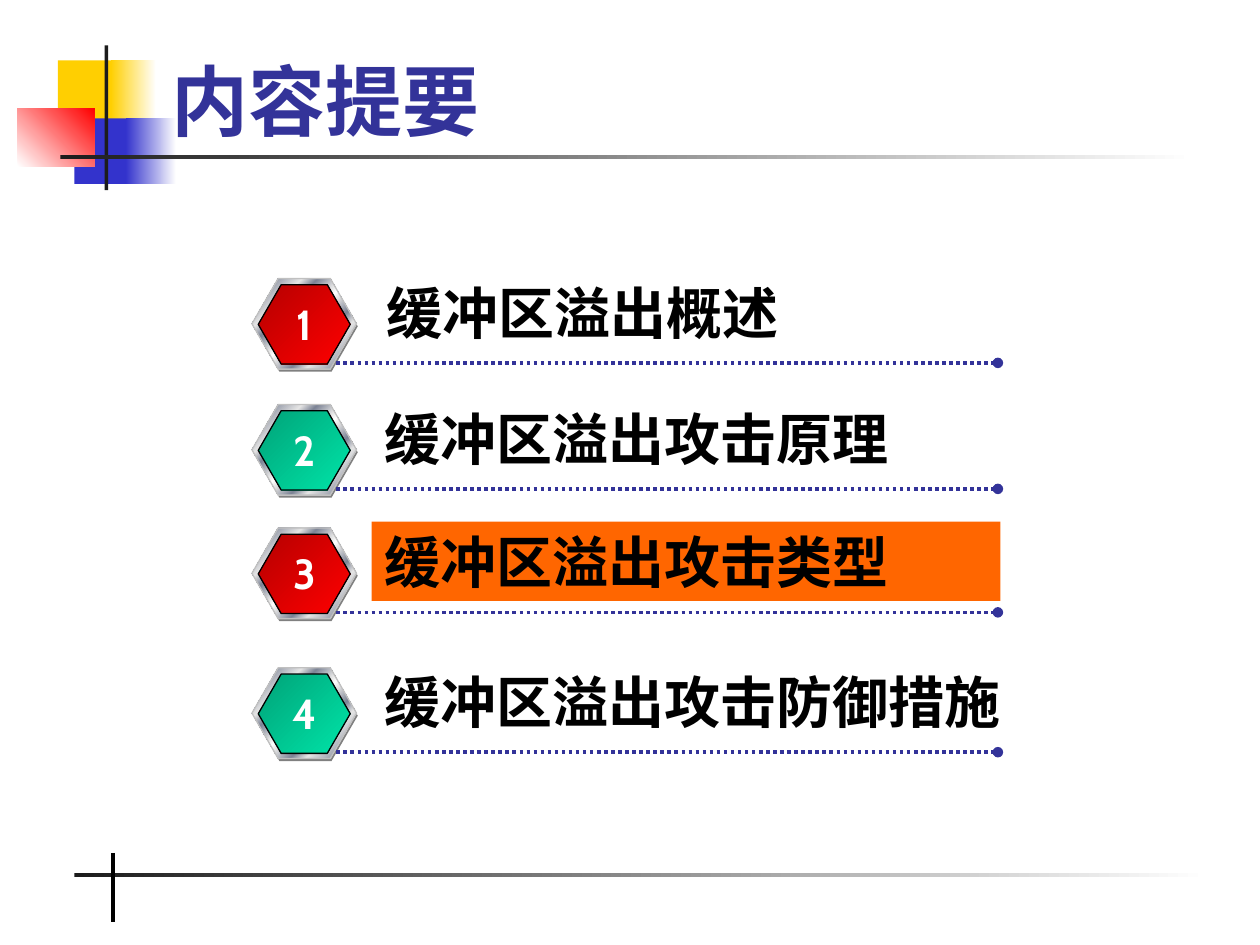
from dataclasses import dataclass

from lxml.etree import SubElement
from pptx import Presentation
from pptx.dml.color import RGBColor
from pptx.enum.dml import MSO_LINE
from pptx.enum.shapes import MSO_CONNECTOR, MSO_SHAPE
from pptx.enum.text import MSO_ANCHOR, MSO_AUTO_SIZE, PP_ALIGN
from pptx.oxml.ns import qn
from pptx.util import Inches, Pt


@dataclass(frozen=True)
class Theme:
    """Colours, gradients, fonts and type sizes of the slide."""
    white: str = "FFFFFF"
    black: str = "000000"
    ink: str = "1C1C1C"
    yellow: str = "FFCF01"
    blue: str = "3333CC"
    red: str = "FF0000"
    navy: str = "333399"
    orange: str = "FF6600"
    shadow: str = "808080"
    rim: str = "C0C0C0"
    red_badge: tuple = ((0, "B60000"), (100, "FF0000"))
    green_badge: tuple = ((0, "00A378"), (100, "00E4A8"))
    metal: tuple = (
        (0, "E6E6E6"), (8, "7D8496"), (26, "E6E6E6"), (34, "7D8496"),
        (46, "E6E6E6"), (50, "FFFFFF"), (54, "E6E6E6"), (66, "7D8496"),
        (74, "E6E6E6"), (93, "7D8496"), (100, "E6E6E6"),
    )
    title_font: str = "Times New Roman"
    item_font: str = "Noto Sans CJK SC"
    number_font: str = "Cabin"
    title_size: int = 44
    item_size: int = 32
    number_size: int = 24


THEME = Theme()


def rgb(value):
    """Turn a hex string into a colour."""
    return RGBColor.from_string(value)


def fade(start, end=THEME.white):
    """Return the stops of a two-colour gradient."""
    return ((0, start), (100, end))


def paint(shape, fill, angle=0):
    """Fill a shape with a colour or with gradient stops at a clockwise angle."""
    if isinstance(fill, str):
        shape.fill.solid()
        shape.fill.fore_color.rgb = rgb(fill)
        return
    shape.fill.gradient()
    shape.fill.gradient_angle = (360 - angle) % 360
    stops = shape.element.spPr.find(qn("a:gradFill")).find(qn("a:gsLst"))
    for stop in list(stops):
        stops.remove(stop)
    for position, colour in fill:
        stop = SubElement(stops, qn("a:gs"), pos=str(position * 1000))
        SubElement(stop, qn("a:srgbClr"), val=colour)


def add_block(shapes, kind, box, fill, angle=0, outline=None):
    """Add a filled preset shape with an optional thin outline."""
    shape = shapes.add_shape(kind, *map(Inches, box))
    shape.shadow.inherit = False
    paint(shape, fill, angle)
    if outline:
        shape.line.color.rgb = rgb(outline)
        shape.line.width = Pt(0.75)
    else:
        shape.line.fill.background()
    return shape


def add_line(slide, start, end, colour, width):
    """Add a straight line without a shadow."""
    line = slide.shapes.add_connector(
        MSO_CONNECTOR.STRAIGHT, *map(Inches, start + end))
    line.line.color.rgb = rgb(colour)
    line.line.width = Pt(width)
    SubElement(line.element.spPr, qn("a:effectLst"))
    return line


def add_text(slide, box, text, font, size, colour, align=PP_ALIGN.LEFT,
             anchor=MSO_ANCHOR.TOP, wrap=True, grow=True, fill=None):
    """Add one line of bold text, on a filled rectangle if a fill is given."""
    if fill:
        shape = add_block(slide.shapes, MSO_SHAPE.RECTANGLE, box, fill)
    else:
        shape = slide.shapes.add_textbox(*map(Inches, box))
    frame = shape.text_frame
    frame.word_wrap = wrap
    frame.auto_size = MSO_AUTO_SIZE.SHAPE_TO_FIT_TEXT if grow else MSO_AUTO_SIZE.NONE
    frame.vertical_anchor = anchor
    paragraph = frame.paragraphs[0]
    paragraph.text = text
    paragraph.alignment = align
    paragraph.font.name = font
    paragraph.font.size = Pt(size)
    paragraph.font.bold = True
    paragraph.font.color.rgb = rgb(colour)
    properties = paragraph.font._element
    SubElement(properties, qn("a:ea"), typeface=THEME.item_font)


def add_decoration(slide):
    """Add the coloured squares and the fading rules of the frame."""
    blocks = (
        ((0.46, 0.48, 0.48, 0.52), THEME.yellow, 0),
        ((0.88, 0.48, 0.36, 0.52), fade(THEME.yellow), 0),
        ((0.59, 0.94, 0.46, 0.52), THEME.blue, 0),
        ((1, 0.94, 0.4, 0.52), fade(THEME.blue), 0),
        ((0.14, 0.86, 0.61, 0.46), fade(THEME.white, THEME.red), 315),
        ((0.83, 0.36, 0.03, 1.15), THEME.ink, 0),
        ((0.48, 1.23, 9, 0.03), fade(THEME.ink), 0),
        ((0.59, 6.93, 9, 0.03), fade(THEME.ink), 0),
    )
    for box, fill, angle in blocks:
        add_block(slide.shapes, MSO_SHAPE.RECTANGLE, box, fill, angle)
    add_line(slide, (0.9, 6.77), (0.9, 7.32), THEME.black, 2.25)


def add_badge(slide, top, fill):
    """Add a grouped hexagon badge with a shadow and a metal rim."""
    group = slide.shapes.add_group_shape()
    layers = (
        ((2.01, top + 0.02, 0.83, 0.72), THEME.shadow, None),
        ((2, top, 0.83, 0.72), THEME.metal, THEME.rim),
        ((2.05, top + 0.05, 0.73, 0.63), fill, THEME.black),
    )
    for box, layer_fill, outline in layers:
        hexagon = add_block(
            group.shapes, MSO_SHAPE.HEXAGON, box, layer_fill, 45, outline)
        hexagon.adjustments[0] = 0.289


def add_item(slide, number, top, left, width, text, highlight=None):
    """Add one agenda row: badge, dotted rule, text and number."""
    add_badge(slide, top, THEME.red_badge if number % 2 else THEME.green_badge)
    rule = add_line(
        slide, (2.67, top + 0.67), (7.92, top + 0.67), THEME.navy, 2)
    rule.line.dash_style = MSO_LINE.ROUND_DOT
    SubElement(rule.line._get_or_add_ln(), qn("a:tailEnd"), type="oval")
    add_text(slide, (left, top - 0.05, width, 0.63), text, THEME.item_font,
             THEME.item_size, THEME.black, fill=highlight)
    add_text(slide, (2.22, top + 0.11, 0.39, 0.5), str(number),
             THEME.number_font, THEME.number_size, THEME.white,
             align=PP_ALIGN.CENTER, wrap=False)


def main():
    """Build the agenda slide and save it."""
    presentation = Presentation()
    presentation.slide_width = Inches(10)
    presentation.slide_height = Inches(7.5)
    slide = presentation.slides.add_slide(presentation.slide_layouts[6])
    add_decoration(slide)
    add_text(slide, (1.26, 0.16, 8.52, 1.05), "内容提要", THEME.title_font,
             THEME.title_size, THEME.navy, anchor=MSO_ANCHOR.BOTTOM, grow=False)
    items = (
        (2.21, 2.97, 5.02, "缓冲区溢出概述"),
        (3.21, 2.95, 4.88, "缓冲区溢出攻击原理"),
        (4.19, 2.95, 4.99, "缓冲区溢出攻击类型", THEME.orange),
        (5.3, 2.95, 5.66, "缓冲区溢出攻击防御措施"),
    )
    for number, item in enumerate(items, start=1):
        add_item(slide, number, *item)
    presentation.save("out.pptx")


if __name__ == "__main__":
    main()
